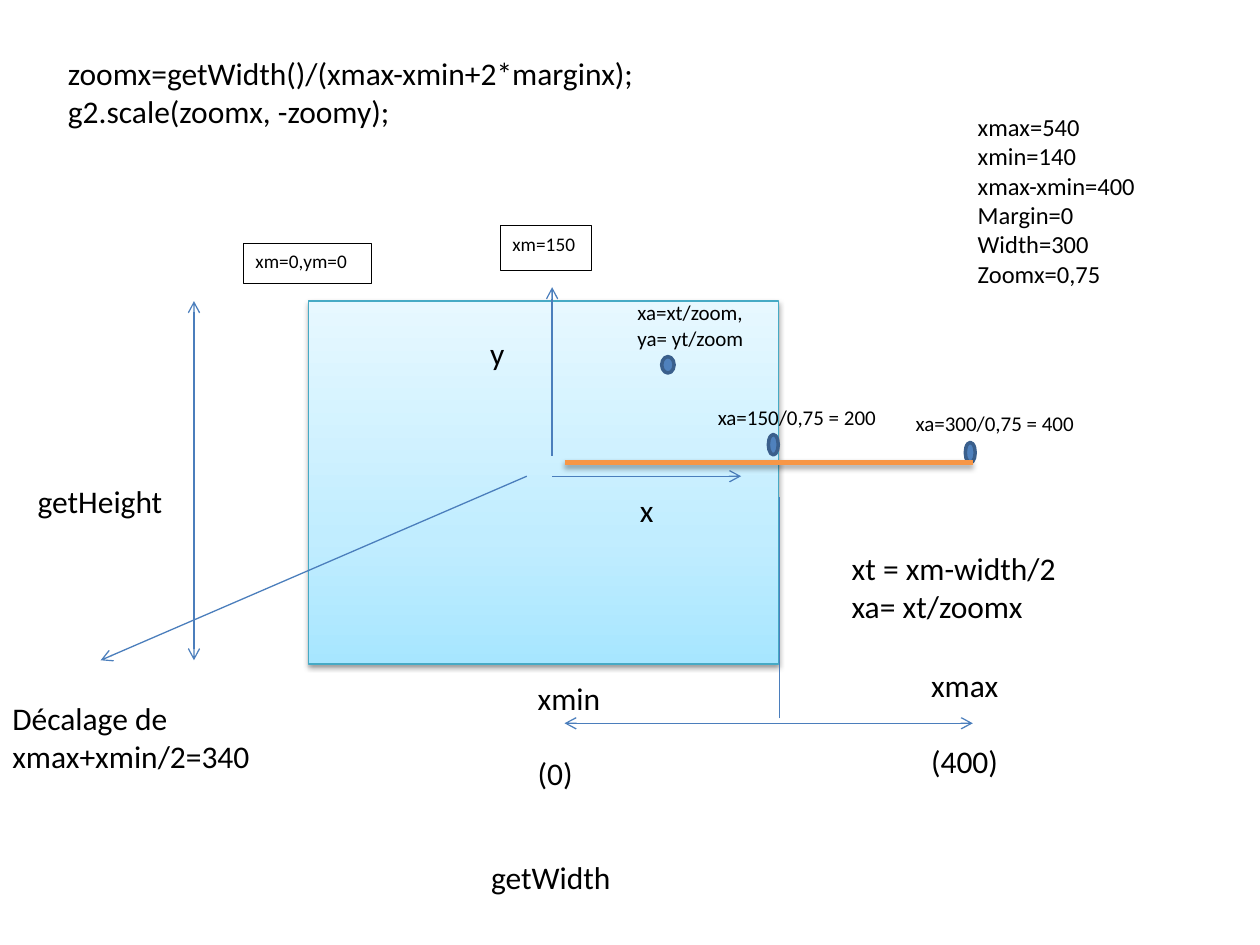
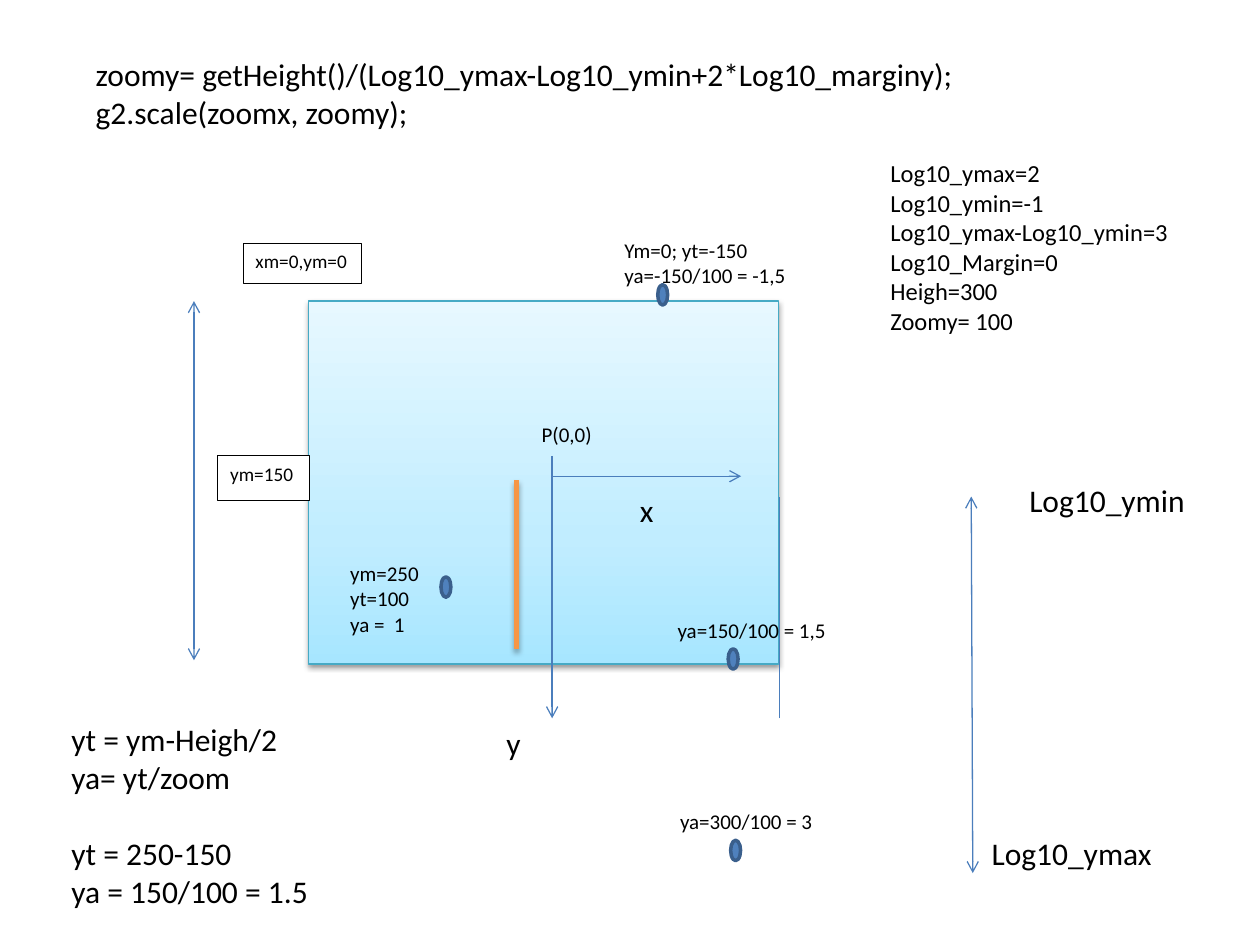
import pptx
import pptx.dml.color
import pptx.enum.shapes
import pptx.enum.text
import pptx.oxml
import pptx.oxml.ns
import pptx.util
from lxml import etree

Cm = pptx.util.Cm
Pt = pptx.util.Pt
RGBColor = pptx.dml.color.RGBColor
MSO_SHAPE = pptx.enum.shapes.MSO_SHAPE
MSO_AUTO_SIZE = pptx.enum.text.MSO_AUTO_SIZE
qn = pptx.oxml.ns.qn

BLACK = RGBColor(0x00, 0x00, 0x00)
WHITE = RGBColor(0xFF, 0xFF, 0xFF)
ARROW_BLUE = RGBColor(0x4B, 0x7E, 0xBC)
DOT_FILL = RGBColor(0x4F, 0x81, 0xBD)
DOT_EDGE = RGBColor(0x3A, 0x5F, 0x8C)
FRAME_EDGE = RGBColor(0x46, 0xAA, 0xC5)
ORANGE = RGBColor(0xF7, 0x96, 0x46)
FRAME_STOPS = [
    (0, RGBColor(0xA7, 0xE6, 0xFF)),
    (35, RGBColor(0xC1, 0xED, 0xFF)),
    (100, RGBColor(0xE7, 0xF8, 0xFF)),
]
FONT = "Calibri"


def add_text(slide, text, x, y, w, h=1.02, size=18, wrap=False, boxed=False):
    place = (Cm(x), Cm(y), Cm(w), Cm(h))
    if boxed:
        sp = slide.shapes.add_shape(MSO_SHAPE.RECTANGLE, *place)
        sp.shadow.inherit = False
        sp.fill.solid()
        sp.fill.fore_color.rgb = WHITE
        sp.line.color.rgb = BLACK
        sp.line.width = Pt(0.5)
    else:
        sp = slide.shapes.add_textbox(*place)
    tf = sp.text_frame
    tf.word_wrap = wrap
    tf.auto_size = MSO_AUTO_SIZE.NONE if boxed else MSO_AUTO_SIZE.SHAPE_TO_FIT_TEXT
    tf.vertical_anchor = pptx.enum.text.MSO_ANCHOR.TOP
    p = tf.paragraphs[0]
    for b, block in enumerate(text.split("\n\n")):
        for i, line in enumerate(block.split("\n")):
            if b or i:
                p = tf.add_paragraph()
            if b and not i:
                p.space_before = Pt(size * 1.2)
            p.alignment = pptx.enum.text.PP_ALIGN.LEFT
            r = p.add_run()
            r.text = line
            r.font.name = FONT
            r.font.size = Pt(size)
            r.font.color.rgb = BLACK


def add_line(slide, x1, y1, x2, y2, ends=(), color=ARROW_BLUE, width=0.75):
    line = slide.shapes.add_connector(
        pptx.enum.shapes.MSO_CONNECTOR.STRAIGHT, Cm(x1), Cm(y1), Cm(x2), Cm(y2))
    line.line.color.rgb = color
    line.line.width = Pt(width)
    for end in ends:
        etree.SubElement(line.line._get_or_add_ln(), qn("a:" + end), type="arrow")
    etree.SubElement(line._element.spPr, qn("a:effectLst"))
    return line


TAIL = ("tailEnd",)
BOTH = ("headEnd", "tailEnd")

prs = pptx.Presentation()
prs.slide_width = Cm(25.4)
prs.slide_height = Cm(19.05)

diagrams = [
    {
        "origin_width": 2.59,
        "y_axis_end": 5.79,
        "arrows": [(11.38, 14.58, 19.61, 14.58, BOTH), (10.62, 9.6, 2.03, 13.31, TAIL)],
        "dots": [(15.49, 8.76, 0.2, 0.41), (19.46, 8.92, 0.2, 0.41), (13.34, 7.19, 0.25, 0.33)],
        "range": (11.38, 9.32, 19.61, 9.32),
    },
    {
        "origin_width": 2.39,
        "y_axis_end": 14.48,
        "arrows": [(19.58, 10.01, 19.61, 17.6, BOTH)],
        "dots": [(x, y, 0.2, 0.41) for x, y in
                 [(14.68, 13.08), (14.73, 16.94), (8.89, 11.63), (13.26, 5.74)]],
        "range": (10.41, 9.68, 10.41, 13.08),
    },
]

for diagram in diagrams:
    slide = prs.slides.add_slide(prs.slide_layouts[6])

    frame = slide.shapes.add_shape(MSO_SHAPE.RECTANGLE, Cm(6.22), Cm(6.07), Cm(9.47), Cm(7.32))
    frame.shadow.inherit = False
    frame.line.color.rgb = FRAME_EDGE
    frame.line.width = Pt(0.75)
    frame.fill.gradient()
    grad = frame._element.spPr.find(qn("a:gradFill"))
    stops = grad.find(qn("a:gsLst"))
    for stop in list(stops):
        stops.remove(stop)
    for position, color in FRAME_STOPS:
        stop = etree.SubElement(stops, qn("a:gs"), pos=str(position * 1000))
        etree.SubElement(stop, qn("a:srgbClr"), val=str(color))
    grad.find(qn("a:lin")).set("ang", str(270 * 60000))

    add_line(slide, 11.13, 9.6, 14.94, 9.6, TAIL)
    add_line(slide, 11.13, 9.19, 11.13, diagram["y_axis_end"], TAIL)
    add_line(slide, 3.91, 6.07, 3.91, 13.31, BOTH)
    add_line(slide, 15.72, 14.48, 15.72, 10.01)
    for arrow in diagram["arrows"]:
        add_line(slide, *arrow)

    for x, y, w, h in diagram["dots"]:
        dot = slide.shapes.add_shape(MSO_SHAPE.OVAL, Cm(x), Cm(y), Cm(w), Cm(h))
        dot.shadow.inherit = False
        dot.fill.solid()
        dot.fill.fore_color.rgb = DOT_FILL
        dot.line.color.rgb = DOT_EDGE
        dot.line.width = Pt(2)

    bar = add_line(slide, *diagram["range"], color=ORANGE, width=3)

    for sp, alpha, dist in [(frame, 38, 1.6), (bar, 35, 1.8)]:
        shadow = etree.SubElement(
            sp._element.spPr.find(qn("a:effectLst")), qn("a:outerShdw"),
            blurRad=str(Pt(3.1)), dist=str(Pt(dist)), dir=str(90 * 60000), rotWithShape="0")
        color = etree.SubElement(shadow, qn("a:srgbClr"), val=str(BLACK))
        etree.SubElement(color, qn("a:alpha"), val=str(alpha * 1000))

    add_text(slide, "xm=0,ym=0", 4.9, 4.9, diagram["origin_width"], 0.81, size=11, boxed=True)
    add_text(slide, "x", 12.65, 9.78, 0.79)

zoom_x, zoom_y = prs.slides

add_text(zoom_x, "zoomx=getWidth()/(xmax-xmin+2*marginx);\ng2.scale(zoomx, -zoomy);",
         1.12, 0.97, 18.97, 1.8, wrap=True)
add_text(zoom_x, "xmax=540\nxmin=140\nxmax-xmin=400\nMargin=0\nWidth=300\nZoomx=0,75",
         19.46, 2.13, 5.21, 5.38, size=14, wrap=True)
add_text(zoom_x, "xm=150", 10.08, 4.55, 1.85, 0.91, size=11, boxed=True)
add_text(zoom_x, "y", 9.63, 6.6, 0.81)
add_text(zoom_x, "getWidth", 9.65, 17.17, 2.95)
add_text(zoom_x, "getHeight", 0.51, 9.6, 3.05)
add_text(zoom_x, "xa=150/0,75 = 200", 14.22, 8.03, 3.89, 0.76, size=12, wrap=True)
add_text(zoom_x, "xa=300/0,75 = 400", 18.21, 8.15, 3.89, 0.76, size=12, wrap=True)
add_text(zoom_x, "xa=xt/zoom,\nya= yt/zoom", 12.6, 5.92, 4.34, 1.27, size=12, wrap=True)
add_text(zoom_x, "xmax\n\n(400)", 18.52, 13.31, 1.88, 2.57)
add_text(zoom_x, "xmin\n\n(0)", 10.59, 13.56, 1.85, 2.57)
add_text(zoom_x, "xt = xm-width/2\nxa= xt/zoomx", 16.92, 10.95, 7.39, 1.8, wrap=True)
add_text(zoom_x, "Décalage de\nxmax+xmin/2=340", 0, 13.97, 5.33, 1.8)

add_text(zoom_y, "zoomy= getHeight()/(Log10_ymax-Log10_ymin+2*Log10_marginy);\ng2.scale(zoomx, zoomy);",
         1.68, 0.99, 18.01, 1.8)
add_text(zoom_y, "Log10_ymax=2\nLog10_ymin=-1\nLog10_ymax-Log10_ymin=3\nLog10_Margin=0\nHeigh=300\nZoomy= 100",
         17.7, 3.07, 6.96, 4.62, size=14, wrap=True)
add_text(zoom_y, "ym=150", 4.39, 9.19, 1.85, 0.91, size=11, boxed=True)
add_text(zoom_y, "y", 9.96, 14.48, 0.81)
add_text(zoom_y, "P(0,0)", 10.67, 8.38, 1.68, 0.79, size=12, wrap=True)
add_text(zoom_y, "ya=150/100 = 1,5", 13.41, 12.32, 3.89, 0.76, size=12, wrap=True)
add_text(zoom_y, "ya=300/100 = 3", 13.46, 16.18, 3.89, 0.76, size=12, wrap=True)
add_text(zoom_y, "Ym=0; yt=-150\nya=-150/100 = -1,5", 12.34, 4.67, 3.89, 1.27, size=12, wrap=True)
add_text(zoom_y, "ym=250\nyt=100\nya =  1", 6.81, 11.18, 2.79, 1.8, size=12, wrap=True)
add_text(zoom_y, "Log10_ymax", 19.74, 16.69, 3.78)
add_text(zoom_y, "Log10_ymin", 20.5, 9.58, 3.68)
add_text(zoom_y, "yt = ym-Heigh/2\nya= yt/zoom\n\nyt = 250-150\nya = 150/100 = 1.5",
         1.19, 14.4, 7.39, 4.11, wrap=True)

prs.save("out.pptx")
